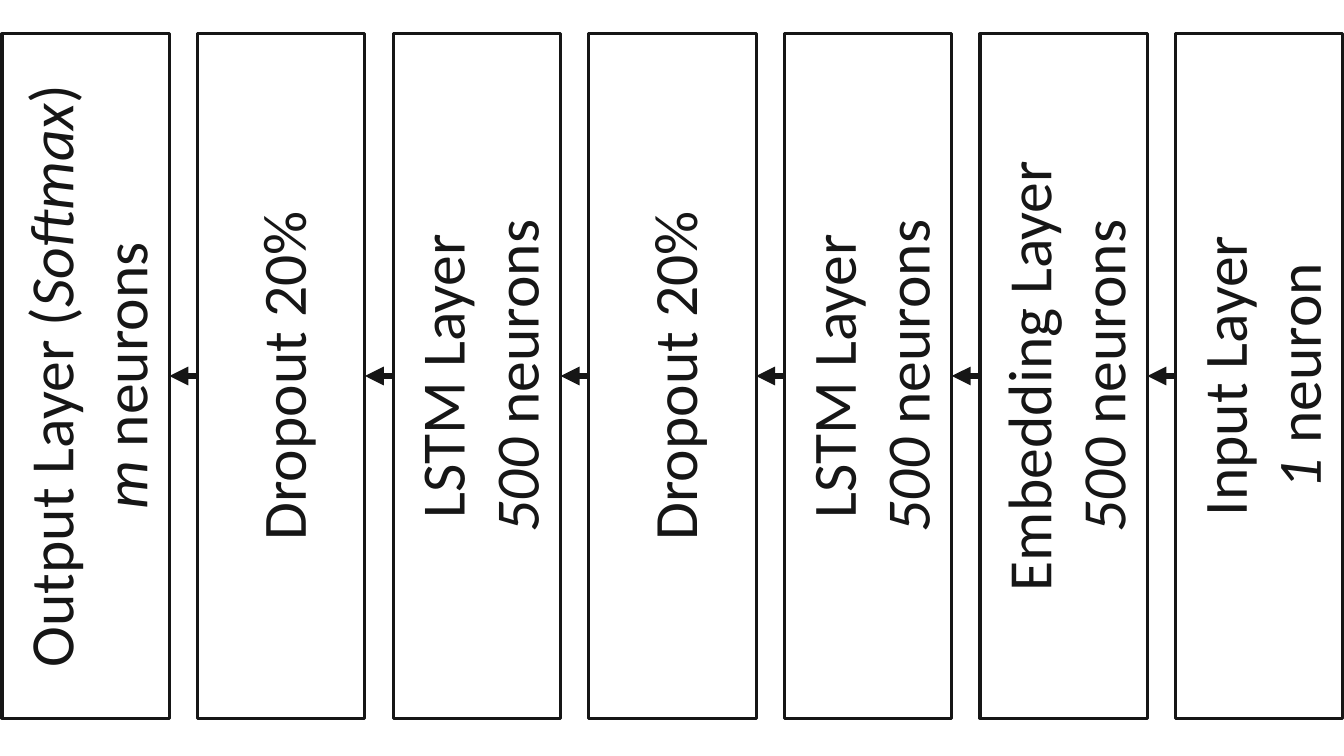
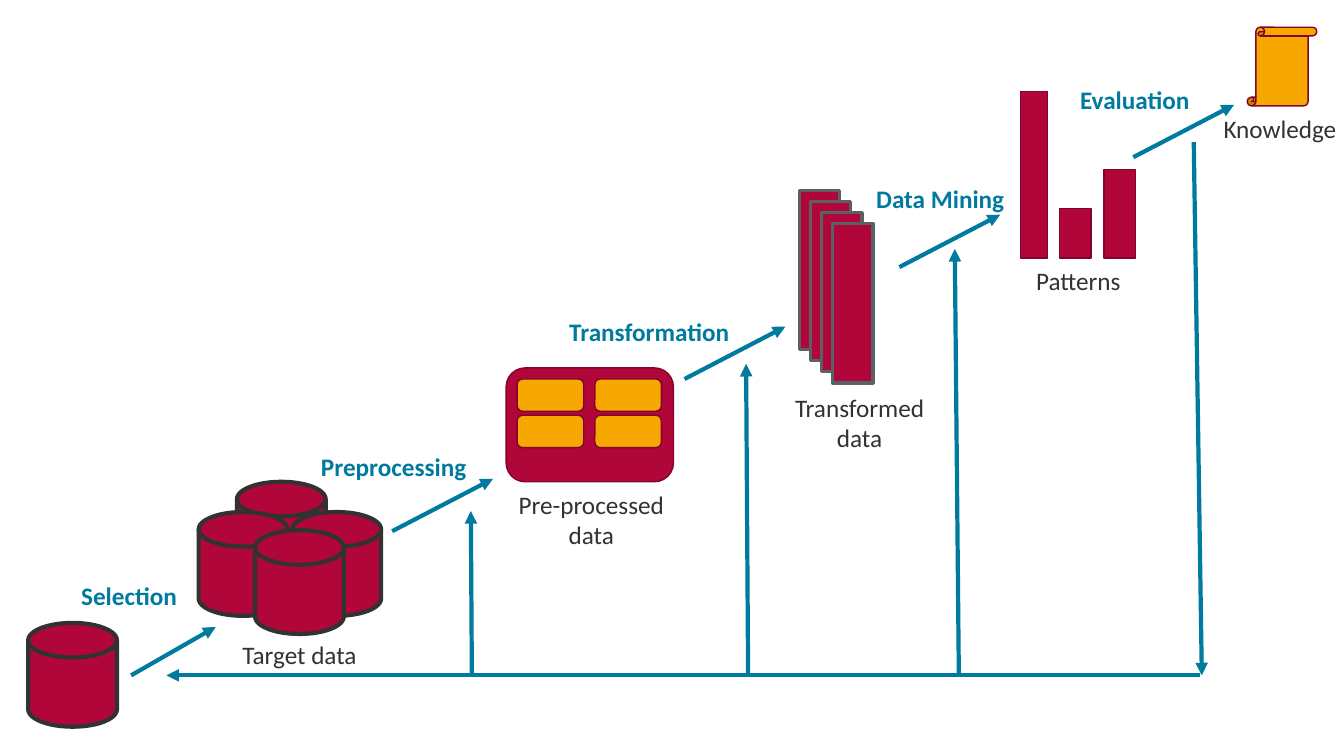
from dataclasses import dataclass

from lxml import etree
from pptx import Presentation
from pptx.dml.color import RGBColor
from pptx.enum.shapes import MSO_CONNECTOR, MSO_SHAPE
from pptx.enum.text import MSO_ANCHOR, MSO_AUTO_SIZE, PP_ALIGN
from pptx.oxml.ns import qn
from pptx.util import Inches, Pt

RECTANGLE = MSO_SHAPE.RECTANGLE
ROUNDED = MSO_SHAPE.ROUNDED_RECTANGLE
CYLINDER = MSO_SHAPE.FLOWCHART_MAGNETIC_DISK
SCROLL = MSO_SHAPE.VERTICAL_SCROLL
STRAIGHT = MSO_CONNECTOR.STRAIGHT
CENTER = PP_ALIGN.CENTER
MIDDLE = MSO_ANCHOR.MIDDLE
GROW = MSO_AUTO_SIZE.SHAPE_TO_FIT_TEXT
TOP_SIDE, BOTTOM_SIDE = 0, 2


@dataclass(frozen=True)
class Theme:
    font: str = "Calibri"
    ink: str = "161616"
    charcoal: str = "323232"
    crimson: str = "B1063A"
    maroon: str = "83042B"
    amber: str = "F6A800"
    gray: str = "5A6166"
    teal: str = "007A9E"
    layer_size: int = 44
    label_size: int = 18


THEME = Theme()
LAYER_TEXT = {"name": THEME.font, "size": Pt(THEME.layer_size), "bold": False}
DATA_TEXT = {"name": THEME.font, "size": Pt(THEME.label_size), "bold": False}
STEP_TEXT = DATA_TEXT | {"bold": True}

# Content of slide 1: layers from left to right, as paragraphs of (text, italic) runs
LSTM = [[("LSTM Layer", False)], [("500", True), (" neurons", False)]]
DROPOUT = [[("Dropout 20%", False)]]
LAYERS = [
    [[("Output Layer (", False), ("Softmax", True), (")", False)],
     [("m", True), (" neurons", False)]],
    DROPOUT,
    LSTM,
    DROPOUT,
    LSTM,
    [[("Embedding Layer", False)], [("500", True), (" neurons", False)]],
    [[("Input Layer", False)], [("1", True), (" neuron", False)]],
]
LAYER_LENGTH, LAYER_DEPTH, LAYER_PITCH = 6.79, 1.66, 1.94
FIRST_LAYER_LEFT, LAYER_MIDDLE = 0.02, 3.73

# Content of slide 2: labels as (text, left, top, width, height)
DATA_LABELS = [
    ("Pre-processed data", 4.99, 4.8, 1.75, 0.71),
    ("Transformed data", 7.68, 3.84, 1.69, 0.71),
    ("Patterns", 9.85, 2.58, 1.69, 0.4),
    ("Knowledge", 11.85, 1.08, 1.69, 0.4),
    ("Target data", 2.16, 6.29, 1.62, 0.4),
]
STEP_LABELS = [
    ("Preprocessing", 3.03, 4.43, 1.75, 0.4),
    ("Transformation", 5.46, 3.09, 1.96, 0.4),
    ("Data Mining", 8.48, 1.77, 1.69, 0.4),
    ("Evaluation", 10.41, 0.79, 1.69, 0.4),
    ("Selection", 0.47, 5.71, 1.62, 0.4),
]
FEEDBACK_LEVEL = 6.7
STEP_STARTS = [(3.89, 5.27), (6.79, 3.76), (8.92, 2.65), (11.24, 1.56)]
STEP_RUN, STEP_RISE = 1.0, 0.52
FEEDBACK_RISERS = [(9.51, 9.47, 2.47), (7.42, 7.4, 3.61), (4.68, 4.67, 5.07)]
ARROWS = [
    ((1.3, FEEDBACK_LEVEL), (2.14, 6.22)),
    *[((x, y), (x + STEP_RUN, y - STEP_RISE)) for x, y in STEP_STARTS],
    ((11.84, 1.41), (11.92, FEEDBACK_LEVEL)),
    *[((foot, FEEDBACK_LEVEL), (tip, top)) for foot, tip, top in FEEDBACK_RISERS],
    ((11.9, FEEDBACK_LEVEL), (1.65, FEEDBACK_LEVEL)),
]

CYLINDER_SIZE = (0.88, 1.03)
SOURCE_CYLINDER = (0.28, 6.18)
TARGET_CYLINDERS = [(2.35, 4.78), (2.9, 5.08), (1.97, 5.08), (2.53, 5.26)]
TABLE_FRAME = (5.02, 3.65, 1.66, 1.13)
TABLE_CELLS = [(x, y, 0.66, 0.32) for y in (3.76, 4.12) for x in (5.13, 5.9)]
SHEETS = [(7.93 + 0.11 * i, 1.89 + 0.11 * i, 0.4, 1.58) for i in range(4)]
BAR_BASE = 2.56
BARS = [(10.12, 0.27, 1.65), (10.51, 0.31, 0.49), (10.95, 0.31, 0.88)]
KNOWLEDGE_SCROLL = (12.37, 0.27, 0.69, 0.78)


def set_font(font, formats, color):
    for attribute, value in formats.items():
        setattr(font, attribute, value)
    font.color.rgb = RGBColor.from_string(color)


def add_outlined(shapes, kind, box, fill, line, width):
    shape = shapes.add_shape(kind, *map(Inches, box))
    shape.shadow.inherit = False
    if fill:
        shape.fill.solid()
        shape.fill.fore_color.rgb = RGBColor.from_string(fill)
    else:
        shape.fill.background()
    shape.line.color.rgb = RGBColor.from_string(line)
    shape.line.width = Pt(width)
    return shape


def add_arrow(slide, start, end, color, width):
    points = map(Inches, (*start, *end))
    connector = slide.shapes.add_connector(STRAIGHT, *points)
    connector.line.color.rgb = RGBColor.from_string(color)
    connector.line.width = Pt(width)
    properties = connector.element.find(qn("p:spPr"))
    outline = properties.find(qn("a:ln"))
    etree.SubElement(outline, qn("a:tailEnd"), type="triangle")
    etree.SubElement(properties, qn("a:effectLst"))
    return connector


def add_label(slide, label, formats, color):
    text, *box = label
    frame = slide.shapes.add_textbox(*map(Inches, box)).text_frame
    frame.word_wrap = True
    frame.auto_size = GROW
    paragraph = frame.paragraphs[0]
    paragraph.alignment = CENTER
    run = paragraph.add_run()
    run.text = text
    set_font(run.font, formats, color)


def add_layer(slide, center, paragraphs):
    # A horizontal box turned a quarter: its top side faces left
    box = (center - LAYER_LENGTH / 2, LAYER_MIDDLE - LAYER_DEPTH / 2,
           LAYER_LENGTH, LAYER_DEPTH)
    shape = add_outlined(slide.shapes, RECTANGLE, box, None, THEME.ink, 2.25)
    shape.rotation = 270
    frame = shape.text_frame
    frame.word_wrap = True
    frame.vertical_anchor = MIDDLE
    for index, runs in enumerate(paragraphs):
        paragraph = frame.add_paragraph() if index else frame.paragraphs[0]
        paragraph.alignment = CENTER
        for text, italic in runs:
            run = paragraph.add_run()
            run.text = text
            set_font(run.font, LAYER_TEXT | {"italic": italic}, THEME.ink)
    return shape


def join_layers(slide, right, left, start_x, end_x):
    ends = (start_x, LAYER_MIDDLE), (end_x, LAYER_MIDDLE)
    arrow = add_arrow(slide, *ends, THEME.ink, 4.5)
    arrow.begin_connect(right, TOP_SIDE)
    arrow.end_connect(left, BOTTOM_SIDE)
    # Joining ignores the rotation, so the ends are placed again
    places = {"begin_x": start_x, "begin_y": LAYER_MIDDLE,
              "end_x": end_x, "end_y": LAYER_MIDDLE}
    for attribute, value in places.items():
        setattr(arrow, attribute, Inches(value))


def build_network(slide):
    lefts = [FIRST_LAYER_LEFT + LAYER_PITCH * i for i in range(len(LAYERS))]
    layers = [add_layer(slide, left + LAYER_DEPTH / 2, paragraphs)
              for left, paragraphs in zip(lefts, LAYERS)]
    for i in range(1, len(layers)):
        join_layers(slide, layers[i], layers[i - 1],
                    lefts[i], lefts[i - 1] + LAYER_DEPTH)


def build_discovery(slide):
    shapes = slide.shapes

    # Source and target data
    cylinder_style = (THEME.crimson, THEME.charcoal, 3)
    add_outlined(shapes, CYLINDER, SOURCE_CYLINDER + CYLINDER_SIZE, *cylinder_style)
    target = shapes.add_group_shape().shapes
    for corner in TARGET_CYLINDERS:
        add_outlined(target, CYLINDER, corner + CYLINDER_SIZE, *cylinder_style)

    # Pre-processed table
    table = shapes.add_group_shape().shapes
    add_outlined(table, ROUNDED, TABLE_FRAME, THEME.crimson, THEME.maroon, 1)
    for cell in TABLE_CELLS:
        add_outlined(table, ROUNDED, cell, THEME.amber, THEME.maroon, 1)

    # Transformed sheets
    stack = shapes.add_group_shape().shapes
    for sheet in SHEETS:
        add_outlined(stack, RECTANGLE, sheet, THEME.crimson, THEME.gray, 2.25)

    # Pattern bars and knowledge scroll
    bars = shapes.add_group_shape().shapes
    for left, width, height in BARS:
        box = (left, BAR_BASE - height, width, height)
        add_outlined(bars, RECTANGLE, box, THEME.crimson, THEME.maroon, 1)
    add_outlined(shapes, SCROLL, KNOWLEDGE_SCROLL, THEME.amber, THEME.maroon, 1)

    # Steps, feedback and labels
    for start, end in ARROWS:
        add_arrow(slide, start, end, THEME.teal, 3)
    for label in DATA_LABELS:
        add_label(slide, label, DATA_TEXT, THEME.charcoal)
    for label in STEP_LABELS:
        add_label(slide, label, STEP_TEXT, THEME.teal)


def main():
    presentation = Presentation()
    presentation.slide_width = Inches(13.33)
    presentation.slide_height = Inches(7.5)
    blank = presentation.slide_layouts.get_by_name("Blank")
    for build in (build_network, build_discovery):
        build(presentation.slides.add_slide(blank))
    presentation.save("out.pptx")


if __name__ == "__main__":
    main()
